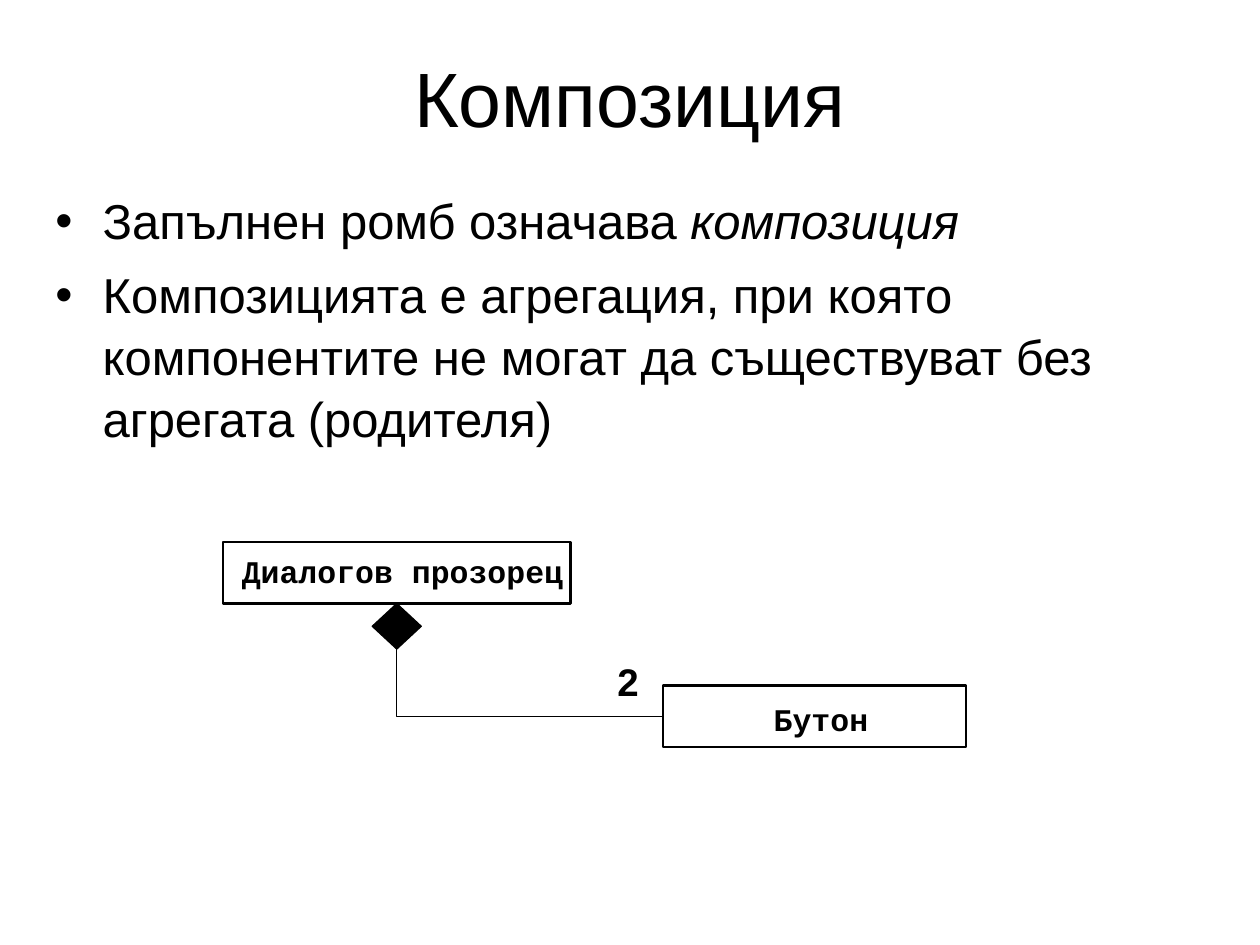
from pptx import Presentation
from pptx.dml.color import RGBColor
from pptx.enum.shapes import MSO_CONNECTOR, MSO_SHAPE
from pptx.enum.text import MSO_ANCHOR, MSO_AUTO_SIZE, PP_ALIGN
from pptx.oxml.ns import qn
from pptx.util import Pt
from lxml import etree

BLACK = RGBColor(0, 0, 0)
RECT, DIAMOND = MSO_SHAPE.RECTANGLE, MSO_SHAPE.DIAMOND
ELBOW = MSO_CONNECTOR.ELBOW
CENTER, LEFT = PP_ALIGN.CENTER, PP_ALIGN.LEFT
TOP, MIDDLE = MSO_ANCHOR.TOP, MSO_ANCHOR.MIDDLE
NO_FIT, FIT_SHAPE = MSO_AUTO_SIZE.NONE, MSO_AUTO_SIZE.SHAPE_TO_FIT_TEXT
SIDE_LEFT, SIDE_BOTTOM = 1, 2

TITLE_FONT = {"name": "Arial", "size": Pt(44)}
BODY_FONT = {"name": "Arial", "size": Pt(28)}
CLASS_FONT = {"name": "Courier New", "size": Pt(18), "bold": True}
COUNT_FONT = {"name": "Arial", "size": Pt(22), "bold": True}

BULLETS = [
    [("Запълнен ромб означава ", False), ("композиция", True)],
    [("Композицията е агрегация, при която компонентите не могат "
      "да съществуват без агрегата (родителя)", False)],
]


def set_attrs(obj, values):
    for name, value in values.items():
        setattr(obj, name, value)


def set_font(font, values):
    set_attrs(font, values)
    font.color.rgb = BLACK


def place(sp, box):
    set_attrs(sp, dict(zip(("left", "top", "width", "height"), map(Pt, box))))


def add_title(s, box, text):
    sp = s.shapes.title
    place(sp, box)
    tf = sp.text_frame
    set_attrs(tf, {"vertical_anchor": MIDDLE, "auto_size": NO_FIT})
    p = tf.paragraphs[0]
    p.alignment = CENTER
    r = p.add_run()
    r.text = text
    set_font(r.font, TITLE_FONT)


def add_bullets(s, box, items):
    sp = s.placeholders[1]
    place(sp, box)
    tf = sp.text_frame
    set_attrs(tf, {"vertical_anchor": TOP, "auto_size": NO_FIT})
    for i, runs in enumerate(items):
        p = tf.add_paragraph() if i else tf.paragraphs[0]
        pPr = p._p.get_or_add_pPr()
        pPr.set("marL", str(Pt(27)))
        pPr.set("indent", str(-Pt(27)))
        set_attrs(p, {"alignment": LEFT, "line_spacing": 1.05,
                      "space_before": Pt(7 if i else 0)})
        for text, italic in runs:
            r = p.add_run()
            r.text = text
            set_font(r.font, {**BODY_FONT, "italic": italic})


def add_label(shapes, box, text, font, margins=(0, 0), anchor=TOP):
    tf = shapes.add_textbox(*map(Pt, box)).text_frame
    side, end = map(Pt, margins)
    set_attrs(tf, {"word_wrap": False, "auto_size": FIT_SHAPE,
                   "vertical_anchor": anchor,
                   "margin_left": side, "margin_right": side,
                   "margin_top": end, "margin_bottom": end})
    p = tf.paragraphs[0]
    p.alignment = CENTER
    r = p.add_run()
    r.text = text
    set_font(r.font, font)


def add_outline(shapes, kind, box, weight):
    sp = shapes.add_shape(kind, *map(Pt, box))
    sp.shadow.inherit = False
    sp.fill.background()
    sp.line.color.rgb = BLACK
    sp.line.width = Pt(weight)
    return sp


def add_class(shapes, box, label_box, name):
    sp = add_outline(shapes, RECT, box, 1.25)
    add_label(shapes, label_box, name, CLASS_FONT)
    return sp


def add_link(shapes, part, whole):
    """Join the part to the whole with a line that has a single corner."""
    line = shapes.add_connector(ELBOW, 0, 0, 0, 0)
    line.begin_connect(part, SIDE_LEFT)
    line.end_connect(whole, SIDE_BOTTOM)
    line.line.color.rgb = BLACK
    line.line.width = Pt(0.75)
    spPr = line._element.spPr
    spPr.find(qn("a:prstGeom")).set("prst", "bentConnector2")
    etree.SubElement(spPr, qn("a:effectLst"))


def add_diagram(s, box):
    """Class diagram: a whole at the upper left, its part at the lower right."""
    x, y, w, h = box
    shapes = s.shapes.add_group_shape().shapes
    class_h, whole_w, part_w = 35.3, 198.7, 173.5
    part_x, part_y = x + w - part_w, y + h - class_h
    whole = add_class(shapes, (x, y, whole_w, class_h),
                      (x + 10.8, y + 5.8, 183.6, 21.6), "Диалогов прозорец")
    part = add_class(shapes, (part_x, part_y, part_w, class_h),
                     (part_x + 63.4, part_y + 8.6, 54, 21.6), "Бутон")
    add_link(shapes, part, whole)
    dw, dh = 28, 26
    diamond = add_outline(shapes, DIAMOND,
                          (x + (whole_w - dw) / 2, y + class_h, dw, dh), 0.75)
    diamond.fill.solid()
    diamond.fill.fore_color.rgb = BLACK
    add_label(shapes, (part_x - 33.1, part_y - 19.4, 26.6, 33.8), "2",
              COUNT_FONT, (7.2, 3.6), MIDDLE)


def main():
    prs = Presentation()
    prs.slide_width, prs.slide_height = Pt(720), Pt(540)
    s = prs.slides.add_slide(prs.slide_layouts[1])
    add_title(s, (36, 21.6, 648, 67), "Композиция")
    add_bullets(s, (24.5, 103.7, 669.6, 398.2), BULLETS)
    add_diagram(s, (127.4, 309.6, 424.8, 117.4))
    prs.save("out.pptx")


if __name__ == "__main__":
    main()
